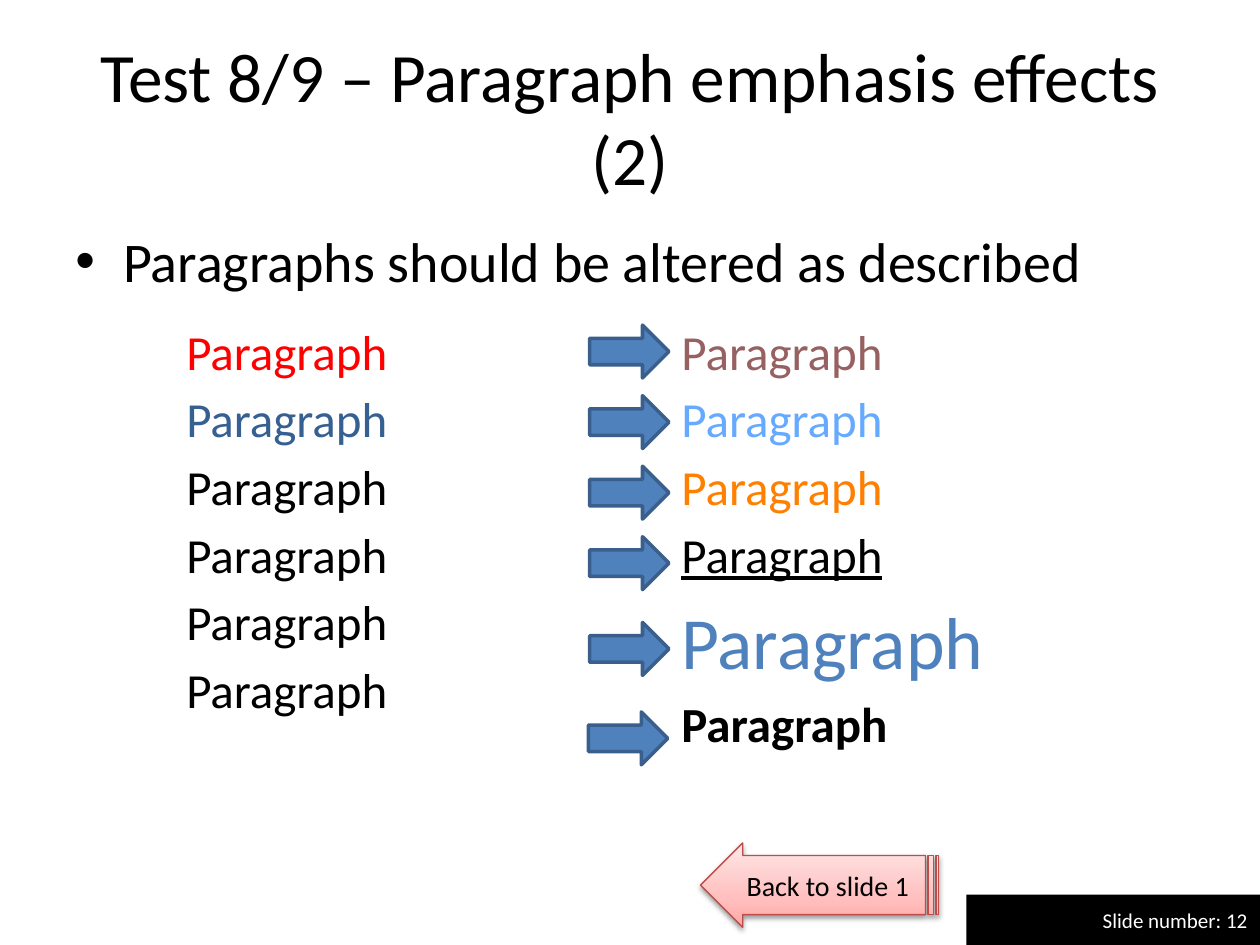
from dataclasses import dataclass

from lxml import etree
from pptx import Presentation
from pptx import oxml
from pptx import util as u
from pptx.dml.color import RGBColor
from pptx.enum import shapes, text
from pptx.oxml import ns


@dataclass(frozen=True)
class Theme:
    """Colours, font and type sizes of the slide."""
    font: str = "Calibri"
    black: str = "000000"
    white: str = "FFFFFF"
    red: str = "FF0000"
    navy: str = "376092"
    rose: str = "976061"
    sky: str = "66AAFF"
    orange: str = "FF7F00"
    blue: str = "4F81BD"
    arrow_line: str = "3A5F8C"
    button_line: str = "BF4C48"
    button_stops: tuple = ((0, "FFA6A5"), (35, "FFC0BF"), (100, "FFE7E7"))
    title: float = 39.6
    body: float = 32
    sample: float = 28
    enlarged: float = 42
    button: float = 16
    footer: float = 12


THEME = Theme()


def style(paragraph, size, color, align=text.PP_ALIGN.LEFT, bold=False, underline=False):
    """Set the font and alignment of a paragraph."""
    paragraph.alignment = align
    font = paragraph.font
    font.name, font.size = THEME.font, u.Pt(size)
    font.bold, font.underline = bold, underline
    font.color.rgb = RGBColor.from_string(color)


def place(shape, left, top, width, height):
    """Move and size a shape in inches."""
    shape.left, shape.top = u.Inches(left), u.Inches(top)
    shape.width, shape.height = u.Inches(width), u.Inches(height)


def paint(shape, color):
    """Fill a shape with one colour."""
    shape.fill.solid()
    shape.fill.fore_color.rgb = RGBColor.from_string(color)


def outline(shape, color, width):
    """Draw the outline of a shape."""
    shape.line.color.rgb = RGBColor.from_string(color)
    shape.line.width = u.Pt(width)


def add_shape(slide, preset, box):
    """Add a preset shape without a shadow."""
    shape = slide.shapes.add_shape(preset, *map(u.Inches, box))
    shape.shadow.inherit = False
    return shape


def add_text_box(slide, box):
    """Add a wrapping text box and return its text frame."""
    frame = slide.shapes.add_textbox(*map(u.Inches, box)).text_frame
    frame.word_wrap = True
    return frame


def add_title(slide, words):
    """Fill and format the title placeholder."""
    title = slide.shapes.title
    place(title, 0.5, 0.3, 9, 1.25)
    paint(title, THEME.white)
    title.text_frame.text = words
    title.text_frame.vertical_anchor = text.MSO_ANCHOR.MIDDLE
    style(title.text_frame.paragraphs[0], THEME.title, THEME.black, text.PP_ALIGN.CENTER)


def add_bullet(slide, words):
    """Add the bulleted instruction."""
    paragraph = add_text_box(slide, (0.5, 1.75, 9, 0.74)).paragraphs[0]
    paragraph.text = words
    properties = paragraph._p.get_or_add_pPr()
    properties.set("marL", str(u.Inches(0.38)))
    properties.set("indent", str(u.Inches(-0.38)))
    etree.SubElement(properties, ns.qn("a:buFont")).set("typeface", "Arial")
    etree.SubElement(properties, ns.qn("a:buChar")).set("char", "•")
    style(paragraph, THEME.body, THEME.black)


def add_samples(slide, box, samples):
    """Add a column of sample paragraphs, each with its own emphasis."""
    frame = add_text_box(slide, box)
    for index, sample in enumerate(samples):
        paragraph = frame.add_paragraph() if index else frame.paragraphs[0]
        paragraph.text = "Paragraph"
        settings = {"size": THEME.sample, "color": THEME.black} | sample
        if index:
            paragraph.space_before = u.Pt(settings["size"] * 0.18)
        style(paragraph, **settings)


def add_arrow(slide, left, top):
    """Add an arrow from a sample to its altered form."""
    arrow = add_shape(slide, shapes.MSO_SHAPE.RIGHT_ARROW, (left, top, 0.63, 0.42))
    paint(arrow, THEME.blue)
    outline(arrow, THEME.arrow_line, 2)


def add_footer(slide, words):
    """Add the black slide number bar."""
    bar = add_shape(slide, shapes.MSO_SHAPE.RECTANGLE, (7.67, 7.1, 2.33, 0.4))
    paint(bar, THEME.black)
    bar.line.fill.background()
    bar.text_frame.text = words
    style(bar.text_frame.paragraphs[0], THEME.footer, THEME.white, text.PP_ALIGN.RIGHT)


def add_back_button(slide, words):
    """Add the left-pointing striped arrow with gradient and shadow."""
    button = add_shape(slide, shapes.MSO_SHAPE.STRIPED_RIGHT_ARROW, (5.56, 6.69, 1.89, 0.67))
    button.adjustments[0], button.adjustments[1] = 0.7, 0.5
    outline(button, THEME.button_line, 0.75)
    button.fill.background()
    properties = button._element.spPr
    properties.find(ns.qn("a:xfrm")).set("flipH", "1")
    stops = "".join(
        f'<a:gs pos="{position * 1000}"><a:srgbClr val="{color}"/></a:gs>'
        for position, color in THEME.button_stops
    )
    gradient = oxml.parse_xml(
        f'<a:gradFill {ns.nsdecls("a")} rotWithShape="1"><a:gsLst>{stops}</a:gsLst>'
        '<a:lin ang="16200000" scaled="0"/></a:gradFill>'
    )
    properties.replace(properties.find(ns.qn("a:noFill")), gradient)
    shadow = oxml.parse_xml(
        f'<a:outerShdw {ns.nsdecls("a")} blurRad="{u.Pt(3.1)}" dist="{u.Pt(1.6)}" '
        f'dir="5400000" rotWithShape="0"><a:srgbClr val="{THEME.black}">'
        '<a:alpha val="38000"/></a:srgbClr></a:outerShdw>'
    )
    properties.find(ns.qn("a:effectLst")).append(shadow)
    button.text_frame.text = words
    style(button.text_frame.paragraphs[0], THEME.button, THEME.black, text.PP_ALIGN.CENTER)


def main():
    """Build the slide and save it."""
    presentation = Presentation()
    presentation.slide_width, presentation.slide_height = u.Inches(10), u.Inches(7.5)
    slide = presentation.slides.add_slide(presentation.slide_layouts[5])
    add_title(slide, "Test 8/9 – Paragraph emphasis effects (2)")
    add_bullet(slide, "Paragraphs should be altered as described")
    add_footer(slide, "Slide number: 12")
    before = [{"color": THEME.red}, {"color": THEME.navy}, {}, {}, {}, {}]
    after = [
        {"color": THEME.rose},
        {"color": THEME.sky},
        {"color": THEME.orange},
        {"underline": True},
        {"color": THEME.blue, "size": THEME.enlarged},
        {"bold": True},
    ]
    add_samples(slide, (1.38, 2.5, 3.29, 4.41), before)
    add_samples(slide, (5.31, 2.5, 3.86, 3.7), after)
    for row in range(4):
        add_arrow(slide, 4.68, 2.58 + 0.56 * row)
    add_arrow(slide, 4.68, 4.94)
    add_arrow(slide, 4.67, 5.65)
    add_back_button(slide, "Back to slide 1")
    presentation.save("out.pptx")


if __name__ == "__main__":
    main()
